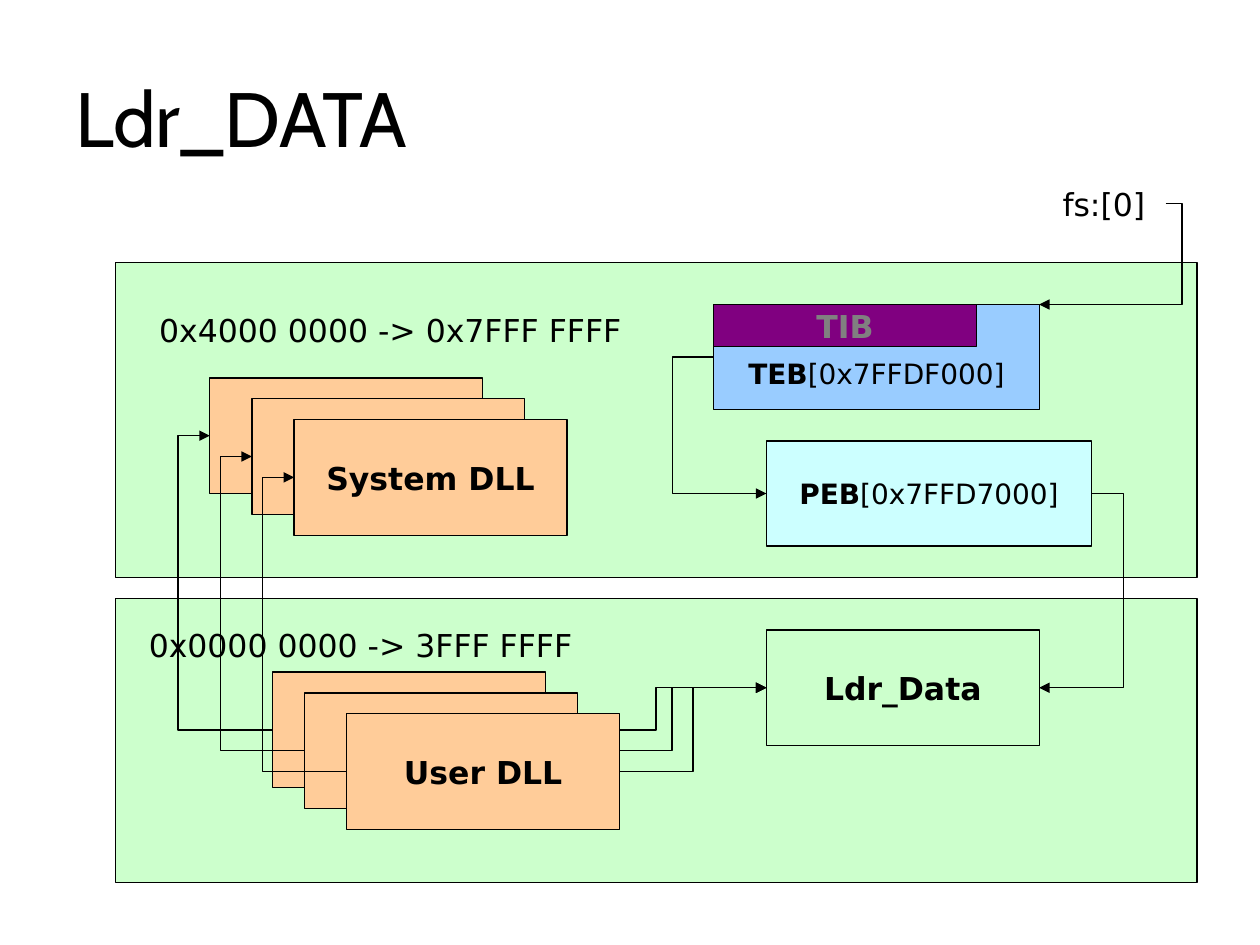
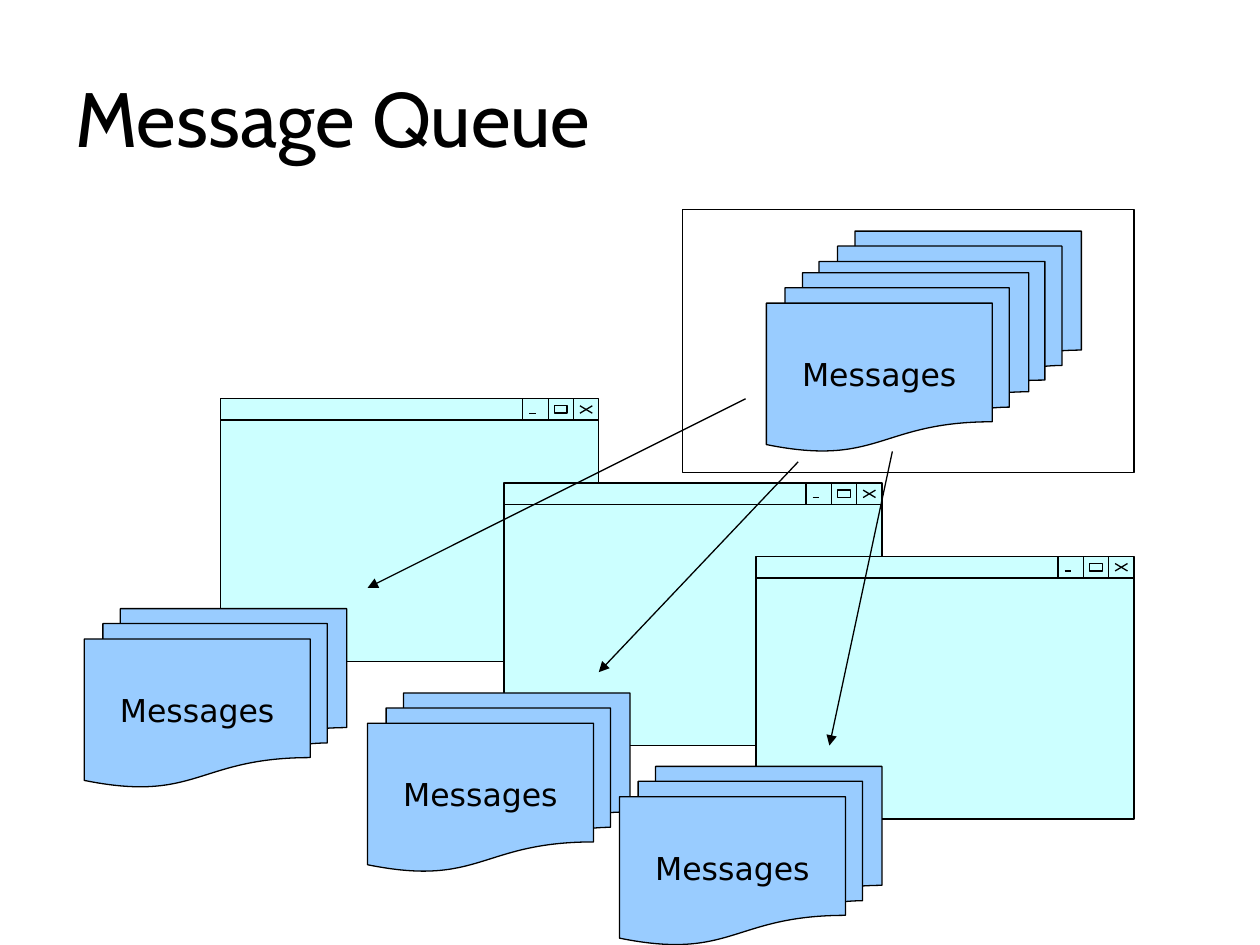
from typing import NamedTuple, Optional, Union

from pptx import Presentation
from pptx import util as u
from pptx.dml.color import RGBColor
from pptx.enum import shapes, text
from pptx.oxml import ns, xmlchemy
from pptx.shapes import autoshape, connector as connectors, shapetree
from pptx.slide import Slide

BLACK = RGBColor(0x00, 0x00, 0x00)
GREY = RGBColor(0x80, 0x80, 0x80)
GREEN = RGBColor(0xCC, 0xFF, 0xCC)
ORANGE = RGBColor(0xFF, 0xCC, 0x99)
BLUE = RGBColor(0x99, 0xCC, 0xFF)
CYAN = RGBColor(0xCC, 0xFF, 0xFF)
PURPLE = RGBColor(0x80, 0x00, 0x80)
TITLE_FONT = "Cabin"
BODY_FONT = "DejaVu Sans"
LINE_WIDTH = u.Pt(0.75)

RECTANGLE = shapes.MSO_SHAPE.RECTANGLE
DOCUMENTS = shapes.MSO_SHAPE.FLOWCHART_MULTIDOCUMENT
STRAIGHT = shapes.MSO_CONNECTOR.STRAIGHT
ELBOW = shapes.MSO_CONNECTOR.ELBOW
MIDDLE = text.MSO_ANCHOR.MIDDLE
TOP = text.MSO_ANCHOR.TOP
CENTER = text.PP_ALIGN.CENTER
LEFT = text.PP_ALIGN.LEFT

ShapeTree = Union[shapetree.SlideShapes, shapetree.GroupShapes]


class Point(NamedTuple):
    """A position in centimetres."""

    x: float
    y: float


class Box(NamedTuple):
    """A rectangle in centimetres."""

    left: float
    top: float
    width: float
    height: float

    @property
    def middle_left(self) -> Point:
        """Return the middle of the left side."""
        return Point(self.left, self.top + self.height / 2)

    @property
    def middle_right(self) -> Point:
        """Return the middle of the right side."""
        return Point(self.left + self.width, self.top + self.height / 2)

    @property
    def top_right(self) -> Point:
        """Return the top right corner."""
        return Point(self.left + self.width, self.top)

    def lengths(self) -> list[u.Length]:
        """Return the four measures as lengths."""
        return [u.Cm(value) for value in self]


class Arrow(NamedTuple):
    """A straight arrow between two points."""

    start: Point
    end: Point


TITLE = Box(1.27, 0.76, 22.86, 3.18)

SYSTEM_ZONE = Box(2.33, 5.29, 21.8, 6.35)
USER_ZONE = Box(2.33, 12.07, 21.8, 5.72)
SYSTEM_RANGE = Box(2.96, 6.14, 12.49, 1.02)
USER_RANGE = Box(2.75, 12.49, 12.49, 1.02)
FS_REGISTER = Box(21.17, 3.6, 2.33, 1.02)
PEB = Box(15.45, 8.89, 6.56, 2.12)
TEB = Box(14.39, 6.14, 6.56, 2.12)
TIB = Box(14.39, 6.14, 5.29, 0.85)
LDR_DATA = Box(15.45, 12.7, 5.5, 2.33)
SYSTEM_DLLS = [Box(4.23 + 0.85 * i, 7.62 + 0.42 * i, 5.5, 2.33) for i in range(3)]
USER_DLLS = [Box(left, 13.55 + 0.42 * i, 5.5, 2.33)
             for i, left in enumerate((5.5, 6.14, 6.99))]
DLL_BEND = 0.64

WINDOWS = [Box(left, top, 7.62, 5.29)
           for left, top in ((4.45, 8.04), (10.16, 9.74), (15.24, 11.22))]
BAR_HEIGHT = 0.43
BUTTON_WIDTH = 0.51
ICON = Box(0.13, 0.14, 0.25, 0.15)
MESSAGES_SIZE = (5.29, 3.6)
MESSAGES_SHIFT = Point(-2.75, 4.23)
QUEUE_FRAME = Box(13.76, 4.23, 9.1, 5.29)
QUEUE_BACK = Box(16.51, 4.66, *MESSAGES_SIZE)
QUEUE_FRONT = Box(15.45, 5.5, *MESSAGES_SIZE)
DISPATCHES = [
    Arrow(Point(15.03, 8.04), Point(7.41, 11.85)),
    Arrow(Point(16.09, 9.31), Point(12.07, 13.55)),
    Arrow(Point(17.99, 9.1), Point(16.72, 15.03)),
]


def write_text(shape: autoshape.Shape, content: str, *, bold_lead: str = "",
               size: float = 18, font: str = BODY_FONT, color: RGBColor = BLACK,
               align: text.PP_ALIGN = CENTER, anchor: text.MSO_ANCHOR = MIDDLE,
               wrap: bool = False, top_inset: float = 0.13) -> None:
    """Write one paragraph, with an optional bold lead before the plain content."""
    frame = shape.text_frame
    frame.word_wrap = wrap
    frame.vertical_anchor = anchor
    frame.margin_left = frame.margin_right = u.Cm(0.25)
    frame.margin_top, frame.margin_bottom = u.Cm(top_inset), u.Cm(0.13)
    paragraph = frame.paragraphs[0]
    paragraph.alignment = align
    for words, bold in ((bold_lead, True), (content, False)):
        if words:
            run = paragraph.add_run()
            run.text = words
            run.font.name = font
            run.font.size = u.Pt(size)
            run.font.bold = bold
            run.font.color.rgb = color


def add_label(slide: Slide, box: Box, content: str, **text_format) -> None:
    """Add left-aligned wrapping text without an outline."""
    label = slide.shapes.add_textbox(*box.lengths())
    write_text(label, content, align=LEFT, wrap=True, **text_format)


def add_box(tree: ShapeTree, box: Box, fill: Optional[RGBColor] = None,
            kind: shapes.MSO_SHAPE = RECTANGLE) -> autoshape.Shape:
    """Add an outlined shape, hollow when no fill is given."""
    shape = tree.add_shape(kind, *box.lengths())
    shape.shadow.inherit = False
    if fill is None:
        shape.fill.background()
    else:
        shape.fill.solid()
        shape.fill.fore_color.rgb = fill
    shape.line.color.rgb = BLACK
    shape.line.width = LINE_WIDTH
    return shape


def add_line(tree: ShapeTree, start: Point, end: Point, *, arrow: bool = False,
             kind: shapes.MSO_CONNECTOR = STRAIGHT) -> connectors.Connector:
    """Add a thin black line, with an arrowhead at its end if wanted."""
    line = tree.add_connector(kind, *(u.Cm(value) for value in (*start, *end)))
    line.line.color.rgb = BLACK
    line.line.width = LINE_WIDTH
    properties = line._element.spPr
    if arrow:
        head = xmlchemy.OxmlElement("a:tailEnd")
        head.set("type", "triangle")
        properties.find(ns.qn("a:ln")).append(head)
    properties.append(xmlchemy.OxmlElement("a:effectLst"))
    return line


def add_elbow(slide: Slide, start: Point, end: Point, bend_x: float) -> None:
    """Add a bent arrow whose vertical part stands at bend_x."""
    elbow = add_line(slide.shapes, start, end, arrow=True, kind=ELBOW)
    geometry = elbow._element.spPr.find(ns.qn("a:prstGeom"))
    guides = geometry.find(ns.qn("a:avLst"))
    if guides is None:
        guides = xmlchemy.OxmlElement("a:avLst")
        geometry.append(guides)
    guide = xmlchemy.OxmlElement("a:gd")
    guide.set("name", "adj1")
    guide.set("fmla", f"val {round(100000 * (bend_x - start.x) / (end.x - start.x))}")
    guides.append(guide)


def add_titled_slide(presentation: Presentation, title: str) -> Slide:
    """Add a blank slide with the shared title style."""
    slide = presentation.slides.add_slide(presentation.slide_layouts[6])
    add_label(slide, TITLE, title, size=44, font=TITLE_FONT)
    return slide


def add_window(slide: Slide, box: Box) -> None:
    """Add a grouped window with a title bar and three buttons."""
    tree = slide.shapes.add_group_shape().shapes
    add_box(tree, box, CYAN)
    right, bar_bottom = box.left + box.width, box.top + BAR_HEIGHT
    add_line(tree, Point(box.left, bar_bottom), Point(right, bar_bottom))
    buttons = [right - BUTTON_WIDTH * count for count in (3, 2, 1)]
    for x in buttons:
        add_line(tree, Point(x, box.top), Point(x, bar_bottom))
    minimize, maximize, close = (
        Box(x + ICON.left, box.top + ICON.top, ICON.width, ICON.height) for x in buttons)
    icon_top, icon_bottom = minimize.top, minimize.top + ICON.height
    add_line(tree, Point(minimize.left, icon_bottom),
             Point(minimize.left + ICON.width / 2, icon_bottom))
    add_box(tree, maximize, CYAN)
    for y_start, y_end in ((icon_top, icon_bottom), (icon_bottom, icon_top)):
        add_line(tree, Point(close.left, y_start),
                 Point(close.left + close.width, y_end))


def add_messages(slide: Slide, box: Box) -> None:
    """Add a labelled stack of messages."""
    write_text(add_box(slide.shapes, box, BLUE, DOCUMENTS), "Messages")


def build_ldr_data(presentation: Presentation) -> None:
    """Build the slide on loader data in memory."""
    slide = add_titled_slide(presentation, "Ldr_DATA")
    tree = slide.shapes
    for zone in (SYSTEM_ZONE, USER_ZONE):
        add_box(tree, zone, GREEN)
    for box, content in ((SYSTEM_RANGE, "0x4000 0000 -> 0x7FFF FFFF"),
                         (USER_RANGE, "0x0000 0000 -> 3FFF FFFF"),
                         (FS_REGISTER, "fs:[0]")):
        add_label(slide, box, content, anchor=TOP)

    write_text(add_box(tree, PEB, CYAN), "[0x7FFD7000]", bold_lead="PEB", size=16)
    write_text(add_box(tree, TEB, BLUE), "[0x7FFDF000]", bold_lead="TEB", size=16,
               top_inset=0.79)
    write_text(add_box(tree, TIB, PURPLE), "", bold_lead="TIB", color=GREY)
    write_text(add_box(tree, LDR_DATA, GREEN), "", bold_lead="Ldr_Data")

    add_elbow(slide, FS_REGISTER.middle_right, TEB.top_right, 23.83)
    add_elbow(slide, TEB.middle_left, PEB.middle_left, 13.55)
    add_elbow(slide, PEB.middle_right, LDR_DATA.middle_right, 22.65)

    system_shapes = [add_box(tree, box, ORANGE) for box in SYSTEM_DLLS]
    write_text(system_shapes[-1], "", bold_lead="System DLL")
    for user, system in zip(USER_DLLS, SYSTEM_DLLS):
        user_shape = add_box(tree, user, ORANGE)
        add_elbow(slide, user.middle_right, LDR_DATA.middle_left,
                  (user.middle_right.x + LDR_DATA.left) / 2)
        add_elbow(slide, user.middle_left, system.middle_left, system.left - DLL_BEND)
    write_text(user_shape, "", bold_lead="User DLL")


def build_message_queue(presentation: Presentation) -> None:
    """Build the slide on the message queue and its windows."""
    slide = add_titled_slide(presentation, "Message Queue")
    for window in WINDOWS:
        add_window(slide, window)
        add_messages(slide, Box(window.left + MESSAGES_SHIFT.x,
                                window.top + MESSAGES_SHIFT.y, *MESSAGES_SIZE))
    add_box(slide.shapes, QUEUE_BACK, BLUE, DOCUMENTS)
    add_messages(slide, QUEUE_FRONT)
    add_box(slide.shapes, QUEUE_FRAME)
    for dispatch in DISPATCHES:
        add_line(slide.shapes, dispatch.start, dispatch.end, arrow=True)


def main() -> None:
    """Build and save the presentation."""
    presentation = Presentation()
    presentation.slide_width, presentation.slide_height = u.Cm(25.4), u.Cm(19.05)
    build_ldr_data(presentation)
    build_message_queue(presentation)
    presentation.save("out.pptx")


if __name__ == "__main__":
    main()
